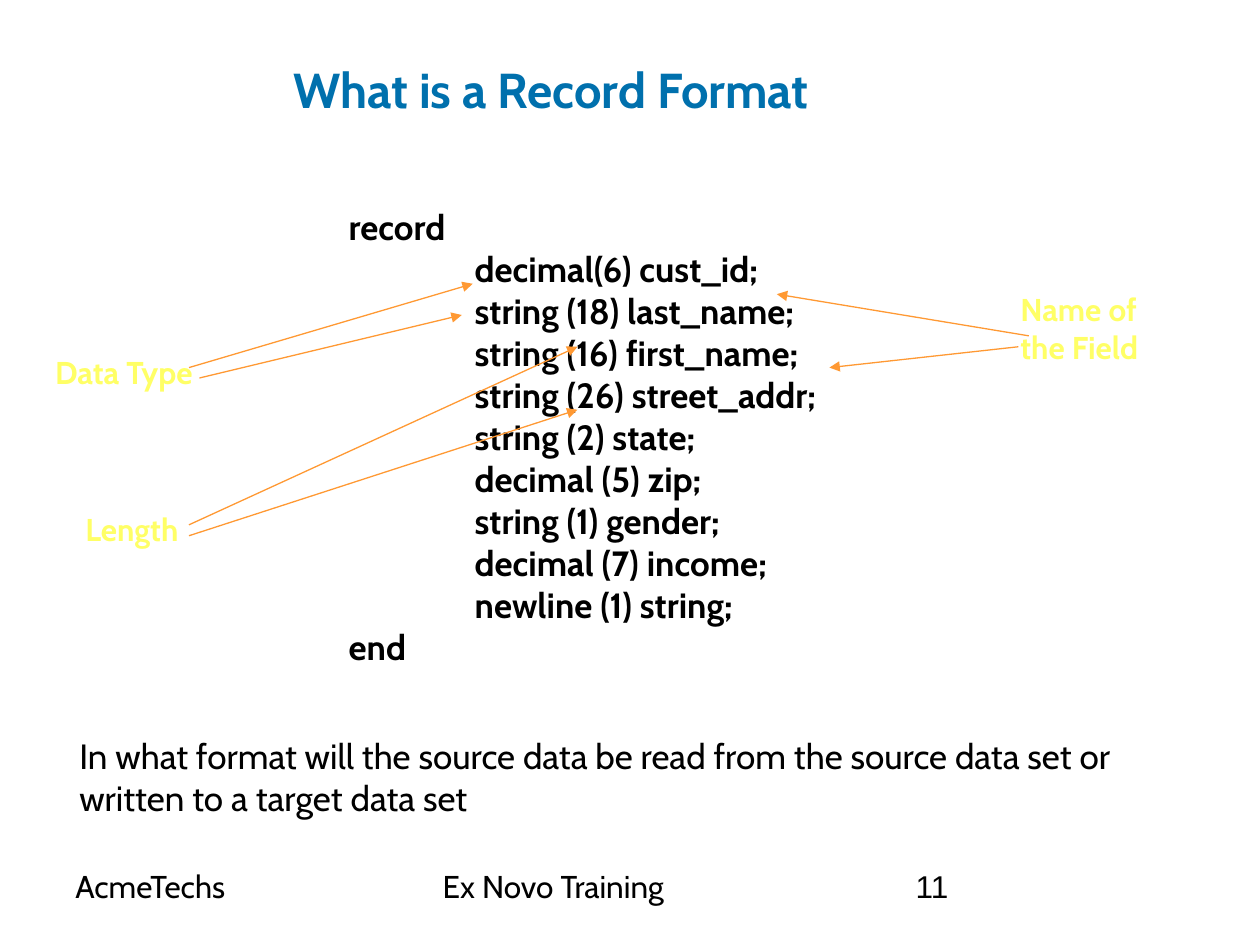
from lxml.etree import SubElement
from pptx import Presentation
from pptx.dml.color import RGBColor
from pptx.enum.shapes import MSO_CONNECTOR
from pptx.oxml.ns import qn
from pptx.util import Cm, Pt

COLORS = {"title": "0070AD", "body": "000000", "label": "FFFF66", "arrow": "FF9933"}

STYLES = {
    "title": {"name": "Cabin", "size": Pt(28), "bold": True},
    "code": {"name": "Cabin", "size": Pt(20), "bold": True},
    "summary": {"name": "Cabin", "size": Pt(20)},
    "label": {"name": "Cabin", "size": Pt(18), "bold": True},
    "footer": {"name": "Cabin", "size": Pt(18)},
    "number": {"name": "Arial", "size": Pt(18)},
}

RECORD_FIELDS = [
    "decimal(6) cust_id;",
    "string (18) last_name;",
    "string (16) first_name;",
    "string (26) street_addr;",
    "string (2) state;",
    "decimal (5) zip;",
    "string (1) gender;",
    "decimal (7) income;",
    "newline (1) string;",
]

CALLOUTS = [
    (["Data Type"], (0.86, 6.99, 3.68, 1.02),
     [(2.95, 0.42, 8.67, -1.27), (3.16, 0.63, 8.45, -0.64)]),
    (["Length"], (1.47, 10.16, 2.74, 1.02),
     [(2.34, 0.42, 10.17, -3.17), (2.34, 0.64, 10.17, -1.9)]),
    (["Name of", "the Field"], (20.32, 5.72, 3.38, 1.78),
     [(0.42, 1.05, -4.66, 0.21), (0.21, 1.27, -3.6, 1.69)]),
]


def add_lines(slide, box, lines, style, color="body"):
    frame = slide.shapes.add_textbox(*map(Cm, box)).text_frame
    frame.word_wrap = True
    for index, line in enumerate(lines):
        paragraph = frame.paragraphs[0] if index == 0 else frame.add_paragraph()
        if line.startswith("\t"):
            stops = SubElement(paragraph._p.get_or_add_pPr(), qn("a:tabLst"))
            SubElement(stops, qn("a:tab"), pos=str(Cm(2.54)), algn="l")
        run = paragraph.add_run()
        run.text = line
        for attribute, value in STYLES[style].items():
            setattr(run.font, attribute, value)
        run.font.color.rgb = RGBColor.from_string(COLORS[color])


def add_arrow(slide, start_x, start_y, end_x, end_y):
    arrow = slide.shapes.add_connector(
        MSO_CONNECTOR.STRAIGHT, Cm(start_x), Cm(start_y), Cm(end_x), Cm(end_y))
    arrow.line.color.rgb = RGBColor.from_string(COLORS["arrow"])
    arrow.line.width = Pt(0.75)
    SubElement(arrow.line._get_or_add_ln(), qn("a:tailEnd"), type="triangle")
    SubElement(arrow._element.spPr, qn("a:effectLst"))


def add_record(slide, box):
    fields = [f"\t{field}" for field in RECORD_FIELDS]
    add_lines(slide, box, ["record", *fields, "end"], "code")


def add_callout(slide, box, lines, arrows):
    add_lines(slide, box, lines, "label", "label")
    left, top = box[:2]
    for start_x, start_y, end_x, end_y in arrows:
        add_arrow(slide, left + start_x, top + start_y, left + end_x, top + end_y)


def add_footer(slide, box):
    left, top, width, height = box
    side, middle = 5.92, 8.05
    gap = (width - 2 * side - middle) / 2
    parts = [("AcmeTechs", side, "footer"),
             ("Ex Novo Training", middle, "footer"),
             ("11", side, "number")]
    for text, part_width, style in parts:
        add_lines(slide, (left, top, part_width, height), [text], style)
        left += part_width + gap


def main():
    presentation = Presentation()
    presentation.slide_width, presentation.slide_height = Cm(25.4), Cm(19.05)
    slide = presentation.slides.add_slide(presentation.slide_layouts[6])
    add_footer(slide, (1.27, 17.35, 22.86, 1.32))
    add_record(slide, (6.78, 4.01, 11.05, 9.58))
    add_lines(slide, (5.66, 1.07, 12.55, 1.45),
              ["What is a Record Format"], "title", "title")
    add_lines(slide, (1.35, 14.68, 24.08, 1.96),
              ["In what format will the source data be read from the source data set or",
               "written to a target data set"], "summary")
    for lines, box, arrows in CALLOUTS:
        add_callout(slide, box, lines, arrows)
    presentation.save("out.pptx")


if __name__ == "__main__":
    main()
